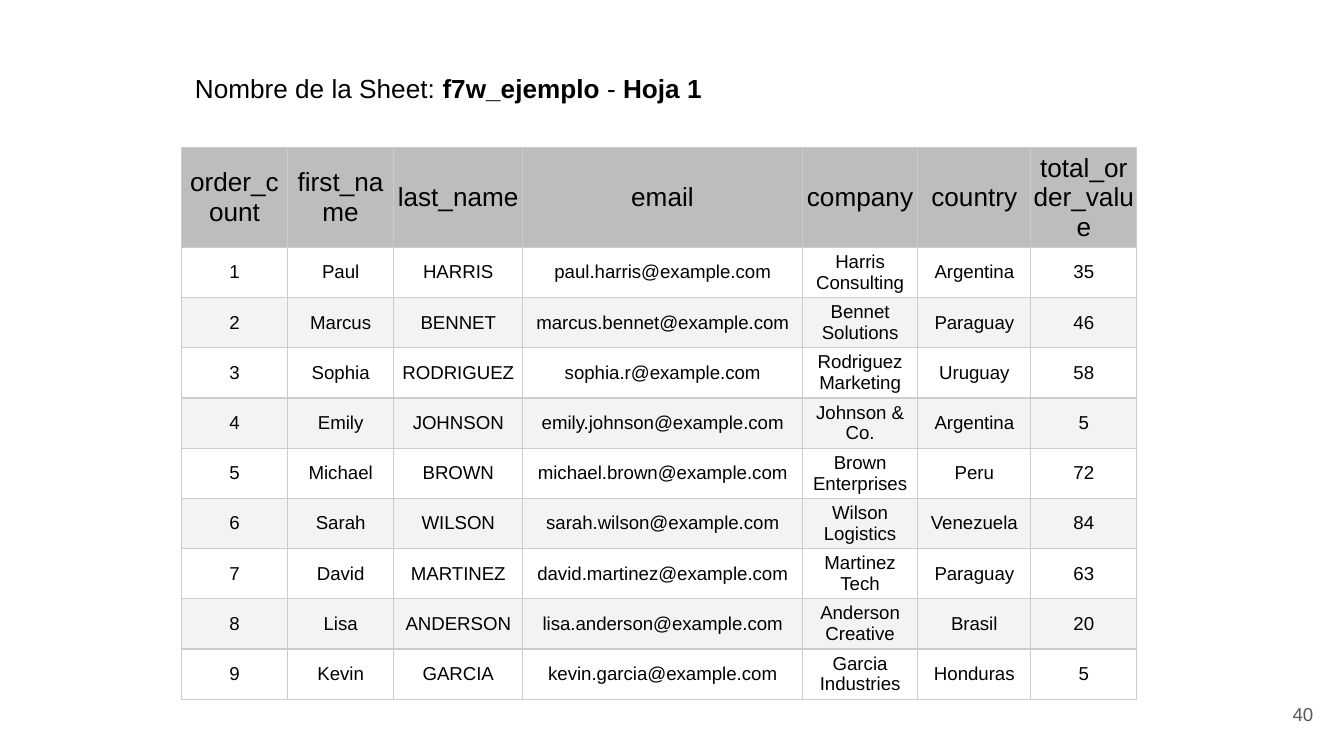
from dataclasses import dataclass

from lxml import etree
from pptx import Presentation, util as u
from pptx.dml.color import RGBColor
from pptx.enum import text
from pptx.oxml import ns

TITLE = [("Nombre de la Sheet: ", False), ("f7w_ejemplo ", True), ("- ", False), ("Hoja 1", True)]
PAGE_NUMBER = "40"
HEADERS = ["order_count", "first_name", "last_name", "email", "company", "country", "total_order_value"]
ORDERS = [
    ("1", "Paul", "HARRIS", "paul.harris@example.com", "Harris Consulting", "Argentina", "35"),
    ("2", "Marcus", "BENNET", "marcus.bennet@example.com", "Bennet Solutions", "Paraguay", "46"),
    ("3", "Sophia", "RODRIGUEZ", "sophia.r@example.com", "Rodriguez Marketing", "Uruguay", "58"),
    ("4", "Emily", "JOHNSON", "emily.johnson@example.com", "Johnson & Co.", "Argentina", "5"),
    ("5", "Michael", "BROWN", "michael.brown@example.com", "Brown Enterprises", "Peru", "72"),
    ("6", "Sarah", "WILSON", "sarah.wilson@example.com", "Wilson Logistics", "Venezuela", "84"),
    ("7", "David", "MARTINEZ", "david.martinez@example.com", "Martinez Tech", "Paraguay", "63"),
    ("8", "Lisa", "ANDERSON", "lisa.anderson@example.com", "Anderson Creative", "Brasil", "20"),
    ("9", "Kevin", "GARCIA", "kevin.garcia@example.com", "Garcia Industries", "Honduras", "5"),
]
SLIDE_WIDTH = u.Inches(10)
SLIDE_HEIGHT = SLIDE_WIDTH * 9 // 16
COLUMN_WIDTHS = [0.79, 0.79, 0.96, 2.08, 0.86, 0.84, 0.79]
ROW_HEIGHT = 0.37
LEFT = 1.35
TABLE_TOP = 1.1
CELL_MARGIN = 0.02


@dataclass(frozen=True)
class Theme:
    font: str = "Arial"
    ink: str = "000000"
    muted: str = "595959"
    header: str = "BDBDBD"
    bands: tuple = ("FFFFFF", "F3F3F3")
    border: str = "CCCCCC"
    border_width: float = 0.75
    large: int = 14
    small: int = 10


THEME = Theme()


def style(para, size, color, align):
    para.alignment = align
    para.font.name = THEME.font
    para.font.size = u.Pt(size)
    para.font.color.rgb = RGBColor.from_string(color)


def add_borders(cell):
    properties = cell._tc.get_or_add_tcPr()
    for position, side in enumerate(("lnL", "lnR", "lnT", "lnB")):
        line = etree.Element(ns.qn(f"a:{side}"), w=str(u.Pt(THEME.border_width)))
        fill = etree.SubElement(line, ns.qn("a:solidFill"))
        etree.SubElement(fill, ns.qn("a:srgbClr"), val=THEME.border)
        properties.insert(position, line)


def fill_cell(cell, content, size, fill):
    cell.text = content
    cell.vertical_anchor = text.MSO_ANCHOR.MIDDLE
    cell.margin_left = cell.margin_right = u.Inches(CELL_MARGIN)
    cell.margin_top = cell.margin_bottom = u.Inches(CELL_MARGIN)
    cell.fill.solid()
    cell.fill.fore_color.rgb = RGBColor.from_string(fill)
    style(cell.text_frame.paragraphs[0], size, THEME.ink, text.PP_ALIGN.CENTER)
    add_borders(cell)


def add_title(page):
    title = page.shapes.title
    title.left, title.top, title.width, title.height = map(u.Inches, (LEFT, 0.49, 6.92, 0.34))
    frame = title.text_frame
    frame.word_wrap = True
    frame.auto_size = text.MSO_AUTO_SIZE.SHAPE_TO_FIT_TEXT
    frame.vertical_anchor = text.MSO_ANCHOR.TOP
    para = frame.paragraphs[0]
    style(para, THEME.large, THEME.ink, text.PP_ALIGN.LEFT)
    for content, bold in TITLE:
        span = para.add_run()
        span.text = content
        span.font.bold = bold


def add_orders(page):
    rows = [HEADERS, *ORDERS]
    table = page.shapes.add_table(
        len(rows), len(HEADERS), u.Inches(LEFT), u.Inches(TABLE_TOP),
        u.Inches(sum(COLUMN_WIDTHS)), u.Inches(ROW_HEIGHT * len(rows)),
    ).table
    for column, width in zip(table.columns, COLUMN_WIDTHS):
        column.width = u.Inches(width)
    for index, values in enumerate(rows):
        table.rows[index].height = u.Inches(ROW_HEIGHT)
        size = THEME.small if index else THEME.large
        fill = THEME.bands[(index - 1) % 2] if index else THEME.header
        for cell, content in zip(table.rows[index].cells, values):
            fill_cell(cell, content, size, fill)


def add_page_number(page):
    box = page.shapes.add_textbox(*map(u.Inches, (9.27, 5.1, 0.6, 0.43)))
    frame = box.text_frame
    frame.word_wrap = True
    frame.vertical_anchor = text.MSO_ANCHOR.MIDDLE
    frame.margin_top = frame.margin_bottom = u.Inches(0.1)
    frame.text = PAGE_NUMBER
    style(frame.paragraphs[0], THEME.small, THEME.muted, text.PP_ALIGN.RIGHT)


def main():
    deck = Presentation()
    deck.slide_width, deck.slide_height = SLIDE_WIDTH, SLIDE_HEIGHT
    page = deck.slides.add_slide(deck.slide_layouts.get_by_name("Title Only"))
    add_title(page)
    add_orders(page)
    add_page_number(page)
    deck.save("out.pptx")


if __name__ == "__main__":
    main()
